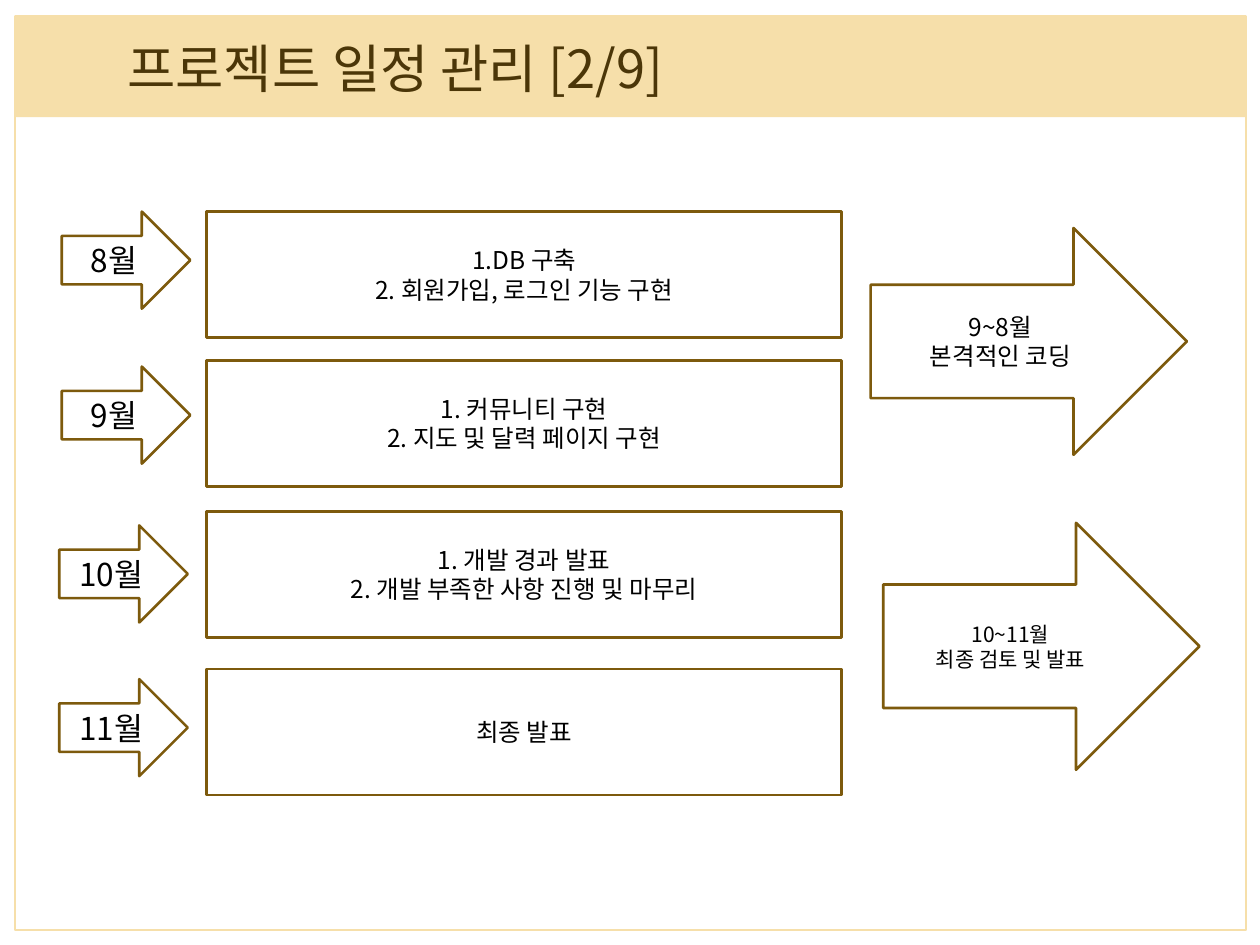
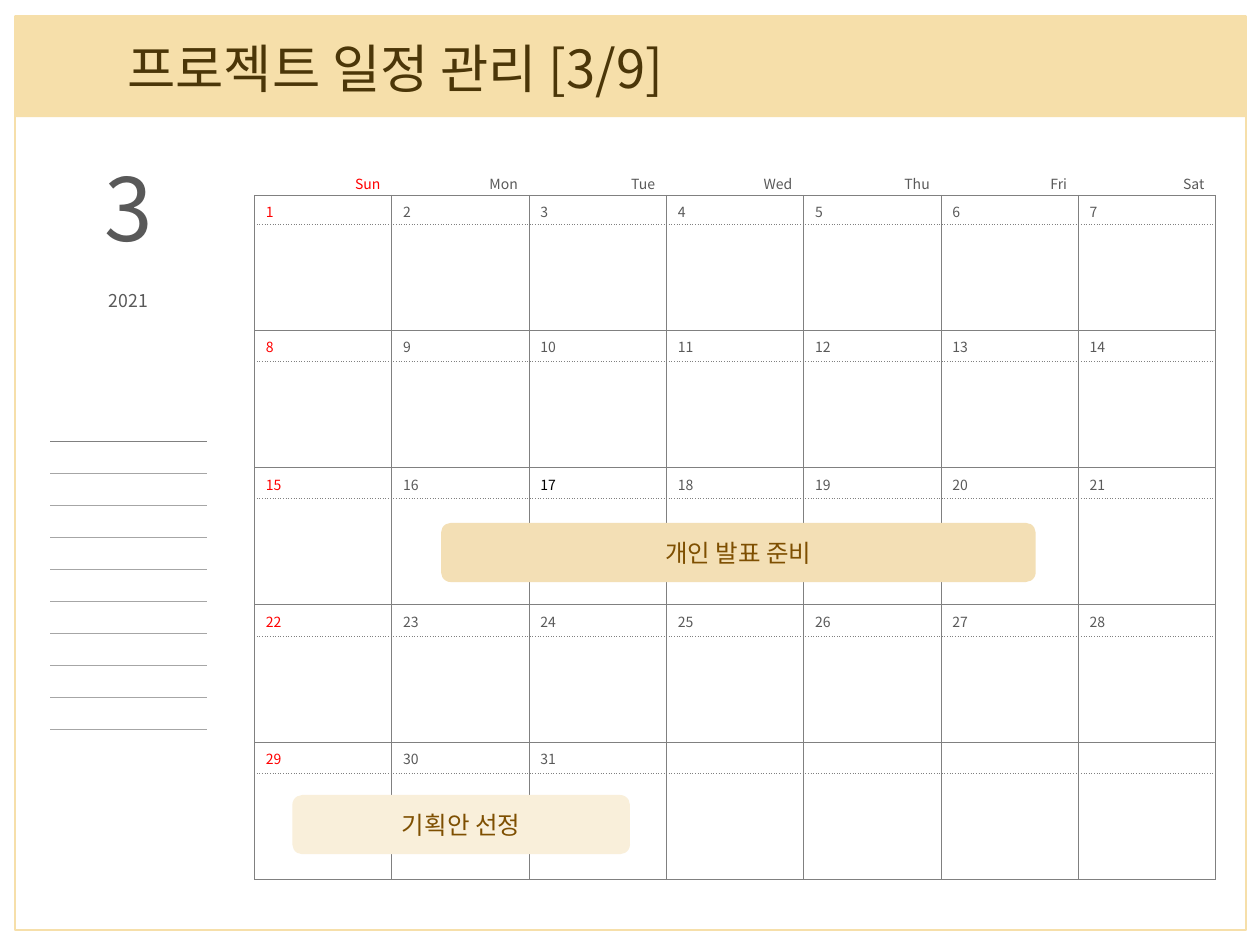
from dataclasses import dataclass
from lxml.etree import SubElement
from pptx import Presentation
from pptx.dml.color import RGBColor as RGB
from pptx.enum.shapes import MSO_SHAPE as Shape
from pptx.enum.text import MSO_ANCHOR as Anchor, PP_ALIGN as Align
from pptx.oxml.ns import qn
from pptx.util import Inches, Pt


@dataclass(frozen=True)
class Theme:
    font: str = "Noto Sans CJK KR"
    band: str = "F6DFAA"
    title: str = "4B3608"
    edge: str = "7D5A0D"
    event: str = "7E4F01"
    white: str = "FFFFFF"
    black: str = "000000"
    red: str = "FF0000"
    gray: str = "595959"
    grid: str = "808080"
    rule: str = "A6A6A6"
    head: float = 30
    large: float = 18
    body: float = 14
    small: float = 12
    tiny: float = 8
    month: float = 49.8
    year: float = 10.1


T = Theme()
TITLE = "프로젝트 일정 관리 [{}/9]"

MONTHS = [
    ("8월", (0.49, 1.68), 1.68, ["1.DB 구축", "2. 회원가입, 로그인 기능 구현"]),
    ("9월", (0.49, 2.91), 2.86, ["1. 커뮤니티 구현", "2. 지도 및 달력 페이지 구현"]),
    ("10월", (0.47, 4.17), 4.06, ["1. 개발 경과 발표", "2. 개발 부족한 사항 진행 및 마무리"]),
    ("11월", (0.47, 5.39), 5.31, ["최종 발표"]),
]
PHASES = [
    (["9~8월", "본격적인 코딩"], (6.91, 1.81, 2.51, 1.8), T.body),
    (["10~11월", "최종 검토 및 발표"], (7.01, 4.15, 2.51, 1.96), T.small),
]

DAYS = ["Sun", "Mon", "Tue", "Wed", "Thu", "Fri", "Sat"]
WEEKS, LAST, MARKED = 5, 31, 17
EVENTS = [
    ("기획안 선정", (2.32, 6.31, 2.68, 0.47), "F9EFDA"),
    ("개인 발표 준비", (3.5, 4.15, 4.72, 0.47), "F3DFB5"),
]
NOTES = 10


def place(box):
    return [Inches(v) for v in box]


def write(frame, lines, size=T.body, color=T.black, align=Align.CENTER,
          anchor=Anchor.MIDDLE, space=None):
    frame.word_wrap = True
    frame.vertical_anchor = anchor
    for i, line in enumerate(lines):
        para = frame.paragraphs[0] if i == 0 else frame.add_paragraph()
        para.alignment = align
        para.line_spacing = space
        run = para.add_run()
        run.text = line
        font = run.font
        font.name, font.size, font.bold = T.font, Pt(size), False
        font.color.rgb = RGB.from_string(color)
        SubElement(font._element, qn("a:ea"), typeface=T.font)


def draw(slide, kind, box, fill=None, line=None):
    shape = slide.shapes.add_shape(kind, *place(box))
    shape.shadow.inherit = False
    if fill:
        shape.fill.solid()
        shape.fill.fore_color.rgb = RGB.from_string(fill)
    else:
        shape.fill.background()
    if line:
        shape.line.color.rgb = RGB.from_string(line)
        shape.line.width = Pt(1.5)
    else:
        shape.line.fill.background()
    return shape


def start(deck, page):
    slide = deck.slides.add_slide(deck.slide_layouts[5])
    draw(slide, Shape.RECTANGLE, (0.12, 0.13, 9.77, 0.8), fill=T.band)
    draw(slide, Shape.RECTANGLE, (0.12, 0.13, 9.77, 7.25), line=T.band)
    title = slide.shapes.title
    slide.shapes._spTree.append(title._element)
    title.left, title.top, title.width, title.height = place((0.91, 0.24, 4.72, 0.59))
    write(title.text_frame, [TITLE.format(page)], size=T.head, color=T.title, align=Align.LEFT)
    return slide


def edge(cell, **sides):
    props = cell._tc.get_or_add_tcPr()
    for side in "LRTB":
        color, dash = sides.get(side, (None, None))
        line = SubElement(props, qn("a:ln" + side), w=str(Pt(0.5)))
        if color:
            fill = SubElement(line, qn("a:solidFill"))
            SubElement(fill, qn("a:srgbClr"), val=color)
            SubElement(line, qn("a:prstDash"), val=dash)
        else:
            SubElement(line, qn("a:noFill"))
    cell.fill.background()


def grid(slide, left, top, cols, rows):
    box = place((left, top, sum(cols), sum(rows)))
    table = slide.shapes.add_table(len(rows), len(cols), *box).table
    table.first_row = table.horz_banding = False
    for col, width in zip(table.columns, cols):
        col.width = Inches(width)
    for row, height in zip(table.rows, rows):
        row.height = Inches(height)
    return table


def fill(cell, text, color=T.gray, align=Align.LEFT):
    cell.margin_left = cell.margin_right = Inches(0.09)
    cell.margin_top, cell.margin_bottom = Inches(0.05), Inches(0.01)
    if text:
        write(cell.text_frame, [text], size=T.tiny, color=color, align=align, anchor=Anchor.TOP)
    else:
        para = cell.text_frame.paragraphs[0]
        SubElement(para._p, qn("a:endParaRPr"), sz=str(T.tiny * 100))


def plan(deck):
    slide = start(deck, 2)
    for name, spot, top, tasks in MONTHS:
        arrow = draw(slide, Shape.RIGHT_ARROW, (*spot, 1.02, 0.77), T.white, T.edge)
        write(arrow.text_frame, [name], size=T.large)
        task = draw(slide, Shape.RECTANGLE, (1.64, top, 5.04, 1), T.white, T.edge)
        write(task.text_frame, tasks)
    for lines, box, size in PHASES:
        phase = draw(slide, Shape.RIGHT_ARROW, box, T.white, T.edge)
        write(phase.text_frame, lines, size=size)


def dates(slide):
    rows = [0.23, 0.23, 0.84] + [0.25, 0.84] * (WEEKS - 1)
    table = grid(slide, 2.02, 1.32, [1.09] * len(DAYS), rows)
    solid, dots = (T.grid, "solid"), (T.grid, "sysDot")
    for c, name in enumerate(DAYS):
        tint = T.gray if c else T.red
        cell = table.cell(0, c)
        fill(cell, name, color=tint, align=Align.RIGHT)
        edge(cell, B=solid)
        for week in range(WEEKS):
            day = week * len(DAYS) + c + 1
            label, blank = (table.cell(2 * week + n, c) for n in (1, 2))
            fill(label, str(day) if day <= LAST else "", color=T.black if day == MARKED else tint)
            edge(label, L=solid, R=solid, T=solid, B=dots)
            fill(blank, "")
            edge(blank, L=solid, R=solid, T=dots, B=solid)


def notes(slide):
    table = grid(slide, 0.4, 3.5, [1.24], [2.54 / NOTES] * NOTES)
    rule = (T.rule, "solid")
    for r in range(NOTES):
        cell = table.cell(r, 0)
        fill(cell, "")
        sides = {"T": rule if r else (T.grid, "solid")}
        if r < NOTES - 1:
            sides["B"] = rule
        edge(cell, **sides)


def month(deck):
    slide = start(deck, 3)
    dates(slide)
    notes(slide)
    for name, box, tint in EVENTS:
        bar = draw(slide, Shape.ROUNDED_RECTANGLE, box, tint)
        write(bar.text_frame, [name], color=T.event)
    frame = slide.shapes.add_textbox(*place((0.51, 0.93, 1.02, 1.85))).text_frame
    write(frame, ["3", "2021"], size=T.month, color=T.gray, anchor=Anchor.TOP, space=1.3)
    year = frame.paragraphs[1]
    year.space_before = Pt(14)
    year.runs[0].font.size = Pt(T.year)


def main():
    deck = Presentation()
    deck.slide_width, deck.slide_height = Inches(10), Inches(7.5)
    plan(deck)
    month(deck)
    deck.save("out.pptx")


if __name__ == "__main__":
    main()
